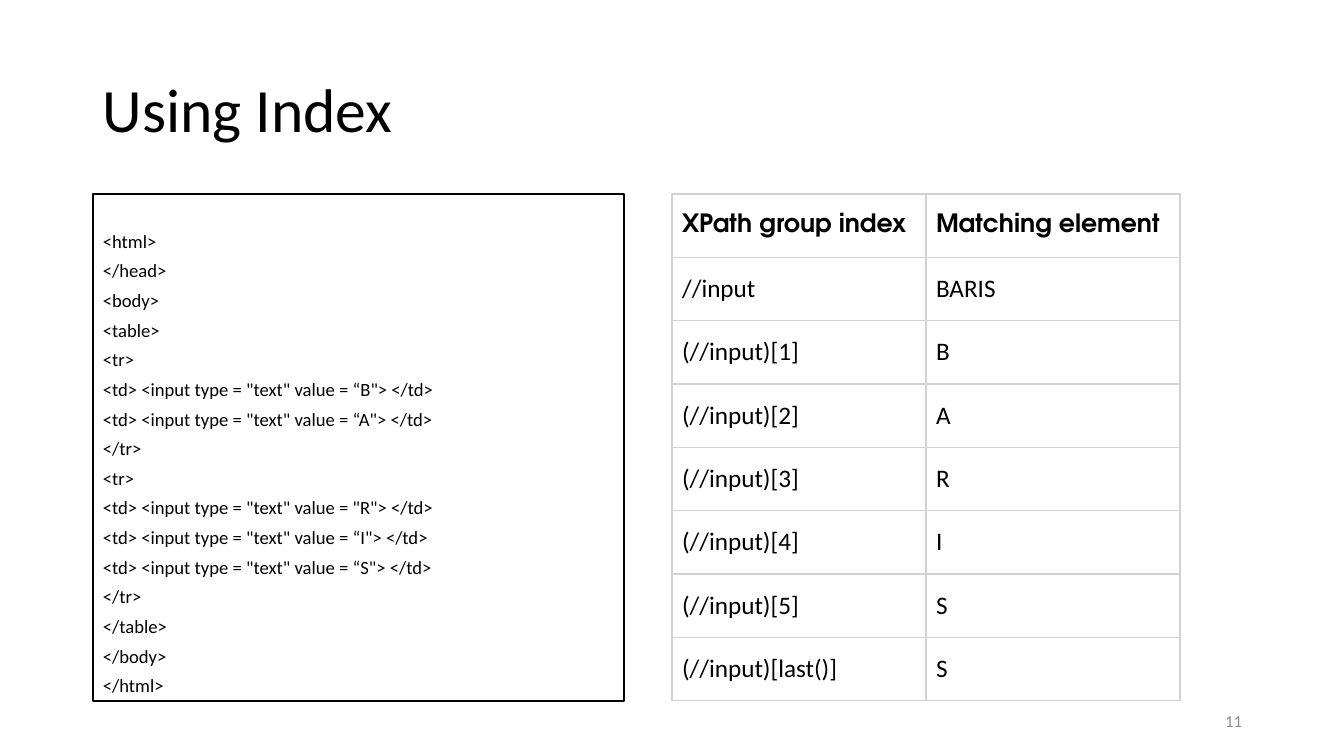
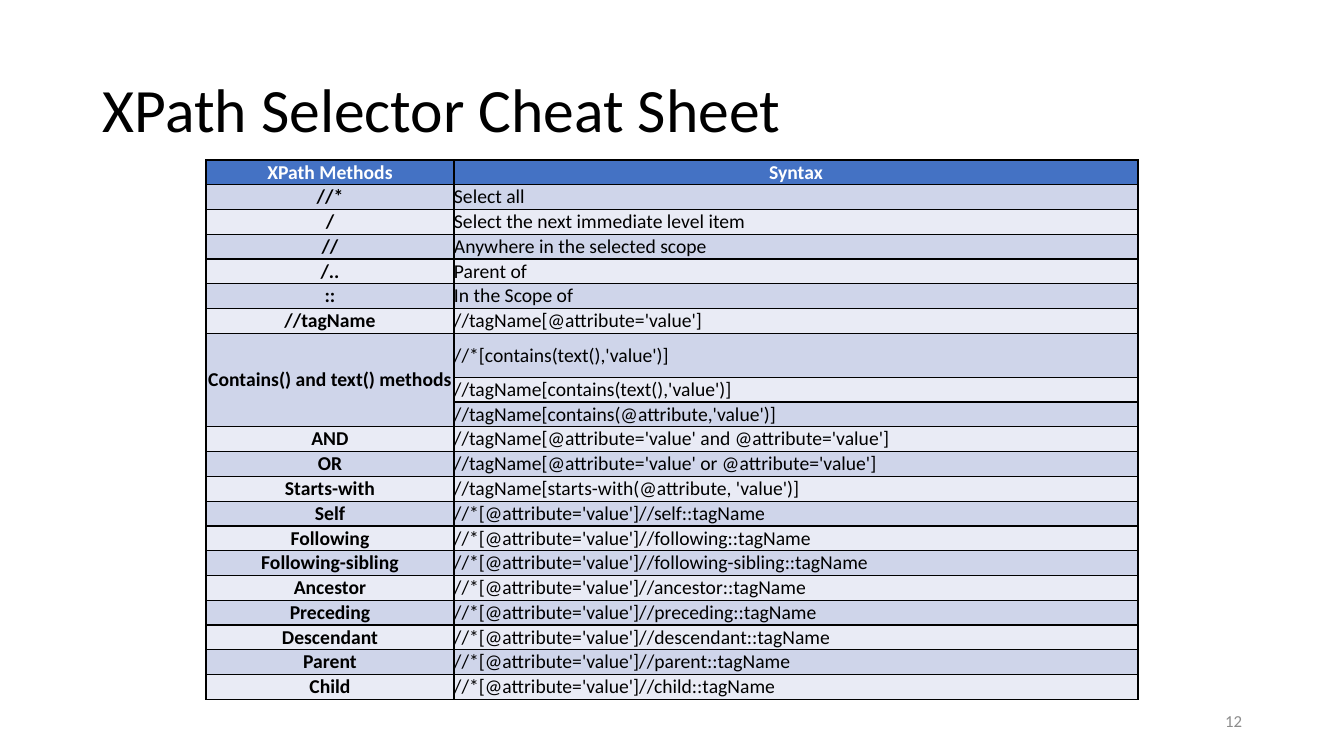
from lxml.etree import SubElement
from pptx import Presentation
from pptx.dml.color import RGBColor
from pptx.enum.shapes import MSO_SHAPE as Shape
from pptx.enum.text import MSO_ANCHOR as Anchor, PP_ALIGN as Align
from pptx.oxml.ns import qn
from pptx.util import Emu, Pt

EMU_PER_PX = 914400 / 100.8
SLIDE_SIZE = (1344, 756)
BLACK, WHITE, GREY = "000000", "FFFFFF", "8C8C8C"
HEADER_BLUE, BAND_DARK, BAND_LIGHT = "4472C4", "CFD5EA", "E9EBF5"
GRID_GREY = "D2D2D2"
BODY_FONT, HEADING_FONT = "Calibri", "TeX Gyre Adventor"

TITLE_AREA = (93, 40, 1159, 146)
NUMBER_AREA = (950, 701, 302, 40)
CODE_AREA = (93, 194, 531, 507)
INDEX_AREA = (672, 194, 508, 507)
CHEAT_AREA = (206, 160, 932, 540)
METHOD_WIDTH = 248
TALL_ROW, TALL_HEIGHT = 7, 44

TITLE_STYLE = {"size": 44}
CODE_STYLE = {"size": 13.3}
NUMBER_STYLE = {"size": 12, "color": GREY}

CODE_LINES = [
    "<html>",
    "</head>",
    "<body>",
    "<table>",
    "<tr>",
    '<td> <input type = "text" value = “B"> </td>',
    '<td> <input type = "text" value = “A"> </td>',
    "</tr>",
    "<tr>",
    '<td> <input type = "text" value = "R"> </td>',
    '<td> <input type = "text" value = “I"> </td>',
    '<td> <input type = "text" value = “S"> </td>',
    "</tr>",
    "</table>",
    "</body>",
    "</html>",
]

INDEX_ROWS = [
    ("XPath group index", "Matching element"),
    ("//input", "BARIS"),
    ("(//input)[1]", "B"),
    ("(//input)[2]", "A"),
    ("(//input)[3]", "R"),
    ("(//input)[4]", "I"),
    ("(//input)[5]", "S"),
    ("(//input)[last()]", "S"),
]

# None continues the method cell above.
CHEAT_ROWS = [
    ("XPath Methods", "Syntax"),
    ("//*", "Select all"),
    ("/", "Select the next immediate level item"),
    ("//", "Anywhere in the selected scope"),
    ("/..", "Parent of"),
    ("::", "In the Scope of"),
    ("//tagName", "//tagName[@attribute='value']"),
    ("Contains() and text() methods", "//*[contains(text(),'value')]"),
    (None, "//tagName[contains(text(),'value')]"),
    (None, "//tagName[contains(@attribute,'value')]"),
    ("AND", "//tagName[@attribute='value' and @attribute='value']"),
    ("OR", "//tagName[@attribute='value' or @attribute='value']"),
    ("Starts-with", "//tagName[starts-with(@attribute, 'value')]"),
    ("Self", "//*[@attribute='value']//self::tagName"),
    ("Following", "//*[@attribute='value']//following::tagName"),
    ("Following-sibling", "//*[@attribute='value']//following-sibling::tagName"),
    ("Ancestor", "//*[@attribute='value']//ancestor::tagName"),
    ("Preceding", "//*[@attribute='value']//preceding::tagName"),
    ("Descendant", "//*[@attribute='value']//descendant::tagName"),
    ("Parent", "//*[@attribute='value']//parent::tagName"),
    ("Child", "//*[@attribute='value']//child::tagName"),
]


def px(length):
    return Emu(round(length * EMU_PER_PX))


def place(area):
    return [px(length) for length in area]


def rgb(color):
    return RGBColor.from_string(color)


def set_attributes(target, values):
    for name, value in values.items():
        setattr(target, name, value)


def write(frame, lines, style, **paragraph_format):
    """Fill a text frame with one paragraph per line; space_before skips the first."""
    space_before = paragraph_format.pop("space_before", None)
    for index, line in enumerate(lines):
        paragraph = frame.add_paragraph() if index else frame.paragraphs[0]
        paragraph.text = line
        set_attributes(paragraph, paragraph_format)
        if index and space_before:
            paragraph.space_before = space_before
        set_attributes(paragraph.font, {
            "name": style.get("font", BODY_FONT),
            "size": Pt(style["size"]),
            "bold": style.get("bold", False),
        })
        paragraph.font.color.rgb = rgb(style.get("color", BLACK))


def add_text(slide, area, text, style, **paragraph_format):
    frame = slide.shapes.add_textbox(*place(area)).text_frame
    set_attributes(frame, {"word_wrap": True, "vertical_anchor": Anchor.MIDDLE})
    write(frame, [text], style, **paragraph_format)


def add_titled_slide(presentation, title, number):
    slide = presentation.slides.add_slide(presentation.slide_layouts[6])
    add_text(slide, TITLE_AREA, title, TITLE_STYLE, line_spacing=0.9)
    add_text(slide, NUMBER_AREA, str(number), NUMBER_STYLE, alignment=Align.RIGHT)
    return slide


def add_code_box(slide):
    box = slide.shapes.add_shape(Shape.RECTANGLE, *place(CODE_AREA))
    box.shadow.inherit = False
    box.fill.background()
    box.line.color.rgb = rgb(BLACK)
    box.line.width = Pt(1.5)
    set_attributes(box.text_frame, {
        "word_wrap": True, "vertical_anchor": Anchor.BOTTOM, "margin_bottom": px(5),
    })
    write(box.text_frame, CODE_LINES, CODE_STYLE, alignment=Align.LEFT,
          line_spacing=0.7, space_before=Pt(10))


def add_borders(cell, color, width):
    properties = cell._tc.get_or_add_tcPr()
    for index, side in enumerate(("lnL", "lnR", "lnT", "lnB")):
        line = SubElement(properties, qn(f"a:{side}"), w=str(Pt(width)))
        fill = SubElement(line, qn("a:solidFill"))
        SubElement(fill, qn("a:srgbClr"), val=color)
        properties.insert(index, line)


def add_grid(slide, area, rows, widths, heights, border, cell_format):
    """Draw a table; cell_format(row, column) gives style, fill, alignment and margin."""
    table = slide.shapes.add_table(len(rows), len(widths), *place(area)).table
    set_attributes(table, {"first_row": False, "horz_banding": False})
    for column, width in zip(table.columns, widths):
        column.width = px(width)
    for row_index, (texts, height) in enumerate(zip(rows, heights)):
        table.rows[row_index].height = px(height)
        for column_index, text in enumerate(texts):
            cell = table.cell(row_index, column_index)
            style, fill, alignment, margins = cell_format(row_index, column_index)
            set_attributes(cell, {"vertical_anchor": Anchor.MIDDLE, **margins})
            cell.fill.solid()
            cell.fill.fore_color.rgb = rgb(fill)
            add_borders(cell, *border)
            if text is not None:
                write(cell.text_frame, [text], style, alignment=alignment)
    return table


def index_format(row, column):
    style = {"size": 18}
    if row == 0:
        style.update(font=HEADING_FONT, bold=True)
    return style, WHITE, Align.LEFT, {}


def cheat_format(row, column):
    header = row == 0
    style = {"size": 14, "bold": header or column == 0,
             "color": WHITE if header else BLACK}
    fill = HEADER_BLUE if header else (BAND_LIGHT, BAND_DARK)[row % 2]
    alignment = Align.CENTER if style["bold"] else Align.LEFT
    margins = {f"margin_{side}": 0 for side in ("left", "top", "right", "bottom")}
    return style, fill, alignment, margins


def add_index_table(slide):
    width, height = INDEX_AREA[2:]
    count = len(INDEX_ROWS)
    add_grid(slide, INDEX_AREA, INDEX_ROWS, [width / 2] * 2, [height / count] * count,
             (GRID_GREY, 1.2), index_format)


def add_cheat_table(slide):
    width, height = CHEAT_AREA[2:]
    count = len(CHEAT_ROWS)
    heights = [(height - TALL_HEIGHT) / (count - 1)] * count
    heights[TALL_ROW] = TALL_HEIGHT
    table = add_grid(slide, CHEAT_AREA, CHEAT_ROWS, [METHOD_WIDTH, width - METHOD_WIDTH],
                     heights, (BLACK, 1), cheat_format)
    continued = [row for row, (method, _) in enumerate(CHEAT_ROWS) if method is None]
    table.cell(continued[0] - 1, 0).merge(table.cell(continued[-1], 0))


def main():
    presentation = Presentation()
    presentation.slide_width, presentation.slide_height = place(SLIDE_SIZE)
    index_slide = add_titled_slide(presentation, "Using Index", 11)
    add_code_box(index_slide)
    add_index_table(index_slide)
    cheat_slide = add_titled_slide(presentation, "XPath Selector Cheat Sheet", 12)
    add_cheat_table(cheat_slide)
    presentation.save("out.pptx")


if __name__ == "__main__":
    main()
